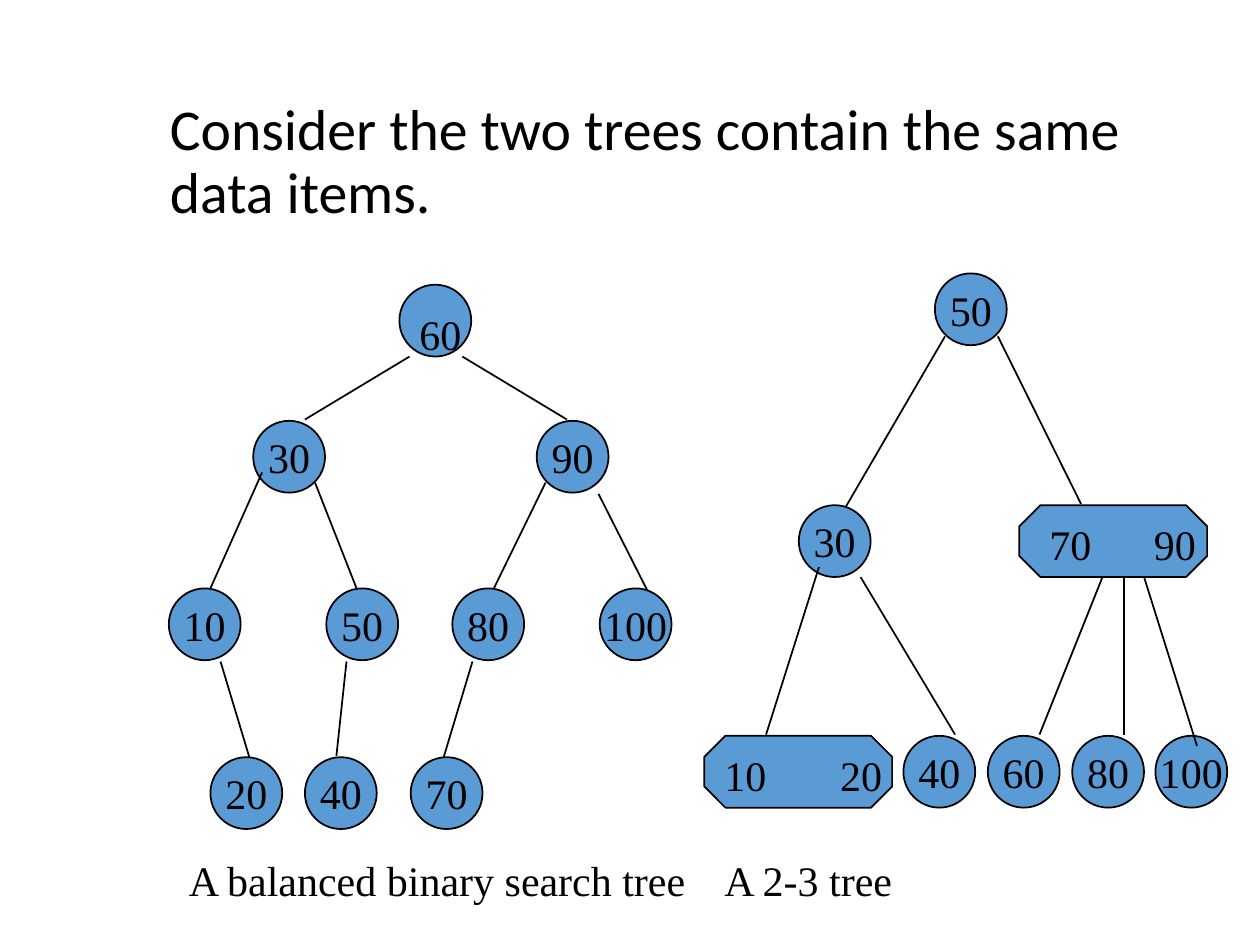
from dataclasses import dataclass

from lxml.etree import SubElement
from pptx import Presentation
from pptx.dml.color import RGBColor
from pptx.enum.shapes import MSO_CONNECTOR, MSO_SHAPE
from pptx.enum.text import MSO_ANCHOR, PP_ALIGN
from pptx.oxml.ns import qn
from pptx.util import Inches, Pt


@dataclass(frozen=True)
class Theme:
    ink: RGBColor = RGBColor(0x00, 0x00, 0x00)
    node: RGBColor = RGBColor(0x5B, 0x9B, 0xD5)
    head_font: str = "Calibri"
    body_font: str = "Times New Roman"
    head_size: int = 33
    body_size: int = 24
    line: int = 1


@dataclass(frozen=True)
class Node:
    """One tree node; x and edge (x1, y1, x2, y2) count from the tree's corner."""
    keys: str
    level: int
    x: float
    edge: tuple = ()
    over: bool = False    # the edge lies over this node
    label: tuple = ()     # offset of a separate label
    tab: float = 0        # distance between two keys


THEME = Theme()
SIZE = 0.57
WIDE = 1.49

BINARY_LEVELS = (0, 1.08, 2.41, 3.75)
BINARY = (
    Node("60", 0, 1.83, label=(0.06, 0.14)),
    Node("30", 1, 0.67, (1.91, 0.57, 1.08, 1.07)),
    Node("90", 1, 2.92, (2.33, 0.57, 3.16, 1.07)),
    Node("10", 2, 0, (0.74, 1.49, 0.33, 2.41)),
    Node("50", 2, 1.25, (1.16, 1.57, 1.49, 2.41)),
    Node("20", 3, 0.33, (0.41, 2.99, 0.66, 3.82)),
    Node("40", 3, 1.08, (1.41, 2.99, 1.33, 3.74)),
    Node("80", 2, 2.25, (2.99, 1.57, 2.58, 2.41)),
    Node("70", 3, 1.92, (2.41, 2.99, 2.16, 3.82)),
    Node("100", 2, 3.42, (3.41, 1.66, 3.83, 2.49)),
)

TWO_THREE_LEVELS = (0, 1.84, 3.67)
TWO_THREE = (
    Node("50", 0, 1.83),
    Node("30", 1, 0.75, (1.91, 0.5, 0.99, 2.08)),
    Node("70\t90", 1, 2.5, (2.33, 0.5, 2.99, 1.83), label=(0.14, 0.06), tab=0.83),
    Node("10\t20", 2, 0, (0.91, 2.33, 0.49, 3.66), label=(0.06, 0.06), tab=0.92),
    Node("40", 2, 1.58, (1.24, 2.41, 1.99, 3.66)),
    Node("60", 2, 2.25, (3.16, 2.41, 2.66, 3.66)),
    Node("80", 2, 2.92, (3.33, 2.41, 3.33, 3.66)),
    Node("100", 2, 3.58, (3.49, 2.41, 3.91, 3.75), over=True),
)


def write(frame, text, font=THEME.body_font, size=THEME.body_size):
    frame.text = text
    para = frame.paragraphs[0]
    for run in para.runs:
        run.font.name = font
        run.font.size = Pt(size)
        run.font.color.rgb = THEME.ink
    return para


def add_label(slide, text, left, top, width, tab=0):
    box = slide.shapes.add_textbox(Inches(left), Inches(top), Inches(width), Inches(0.5))
    box.text_frame.word_wrap = False
    para = write(box.text_frame, text)
    if tab:
        stops = SubElement(para._p.get_or_add_pPr(), qn("a:tabLst"))
        SubElement(stops, qn("a:tab"), pos=str(Inches(tab)), algn="l")


def add_edge(slide, left, top, edge):
    x1, y1, x2, y2 = edge
    line = slide.shapes.add_connector(
        MSO_CONNECTOR.STRAIGHT, Inches(left + x1), Inches(top + y1),
        Inches(left + x2), Inches(top + y2))
    line.line.color.rgb = THEME.ink
    line.line.width = Pt(THEME.line)
    SubElement(line._element.spPr, qn("a:effectLst"))


def add_node(slide, left, top, node):
    kind, width = (MSO_SHAPE.OCTAGON, WIDE) if node.tab else (MSO_SHAPE.OVAL, SIZE)
    shape = slide.shapes.add_shape(
        kind, Inches(left), Inches(top), Inches(width), Inches(SIZE))
    shape.shadow.inherit = False
    shape.fill.solid()
    shape.fill.fore_color.rgb = THEME.node
    shape.line.color.rgb = THEME.ink
    shape.line.width = Pt(THEME.line)
    if not node.label:
        shape.text_frame.word_wrap = False
        shape.text_frame.vertical_anchor = MSO_ANCHOR.MIDDLE
        write(shape.text_frame, node.keys).alignment = PP_ALIGN.CENTER


def add_tree(slide, left, top, nodes, levels):
    """Draw each edge before its child, then the separate labels on top."""
    for node in nodes:
        if node.edge and not node.over:
            add_edge(slide, left, top, node.edge)
        add_node(slide, left + node.x, top + levels[node.level], node)
        if node.over:
            add_edge(slide, left, top, node.edge)
    for node in nodes:
        if node.label:
            dx, dy = node.label
            add_label(slide, node.keys, left + node.x + dx,
                      top + levels[node.level] + dy, 0.54 + node.tab, node.tab)


def add_title(slide, left, top, width, height):
    box = slide.shapes.add_textbox(
        Inches(left), Inches(top), Inches(width), Inches(height))
    frame = box.text_frame
    frame.word_wrap = True
    frame.vertical_anchor = MSO_ANCHOR.MIDDLE
    para = write(frame, "Consider the two trees contain the same data items.",
                 THEME.head_font, THEME.head_size)
    para.line_spacing = 0.9


def main():
    deck = Presentation()
    deck.slide_width, deck.slide_height = Inches(10), Inches(7.5)
    slide = deck.slides.add_slide(deck.slide_layouts[6])
    add_title(slide, 1.25, 0.67, 8.5, 1.25)
    add_tree(slide, 1.34, 2.26, BINARY, BINARY_LEVELS)
    add_label(slide, "A balanced binary search tree", 1.4, 6.73, 4.16)
    add_tree(slide, 5.59, 2.17, TWO_THREE, TWO_THREE_LEVELS)
    add_label(slide, "A 2-3 tree", 5.65, 6.73, 1.64)
    deck.save("out.pptx")


if __name__ == "__main__":
    main()
